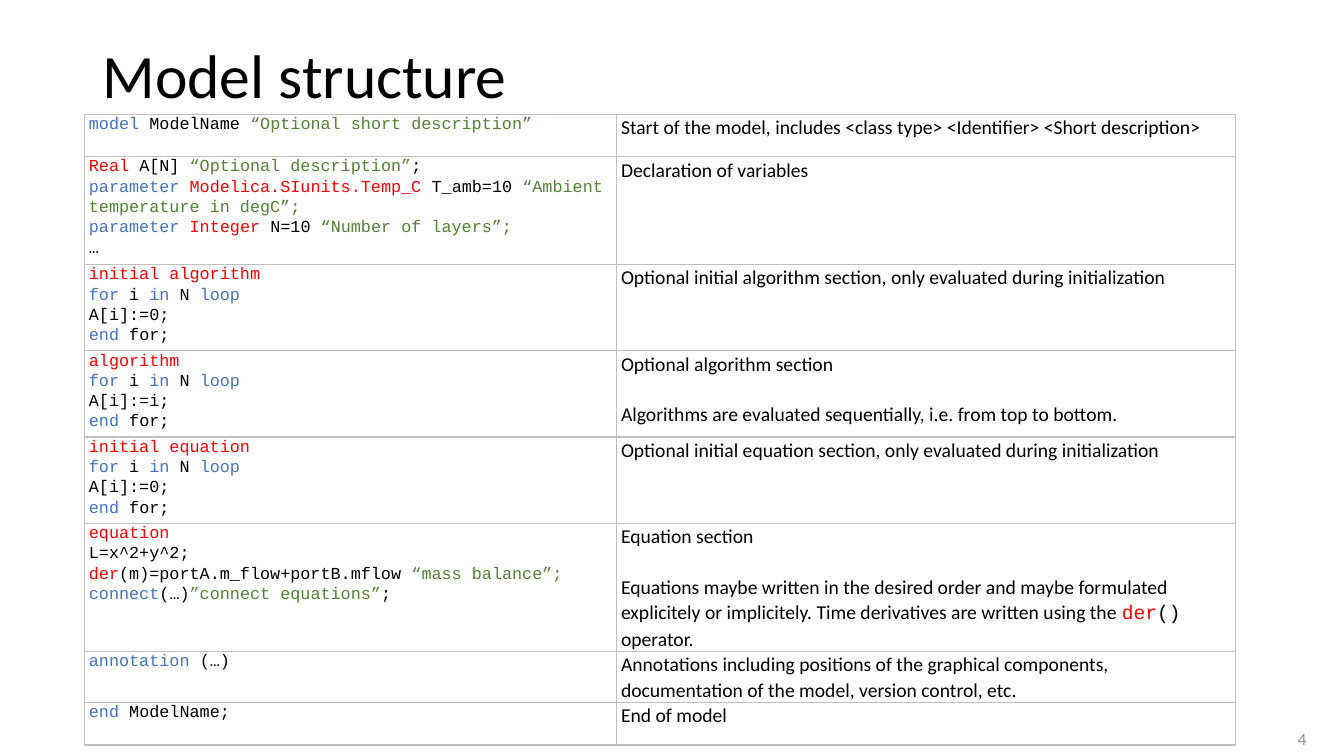
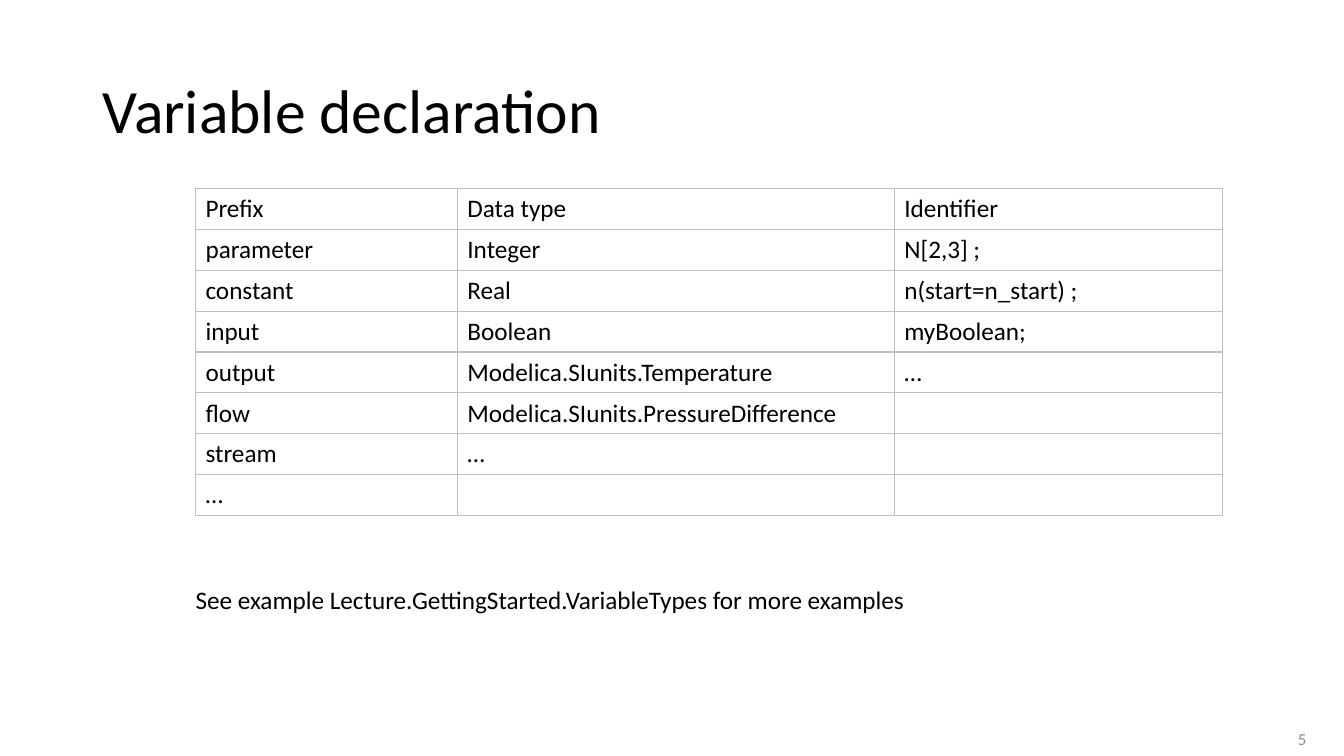
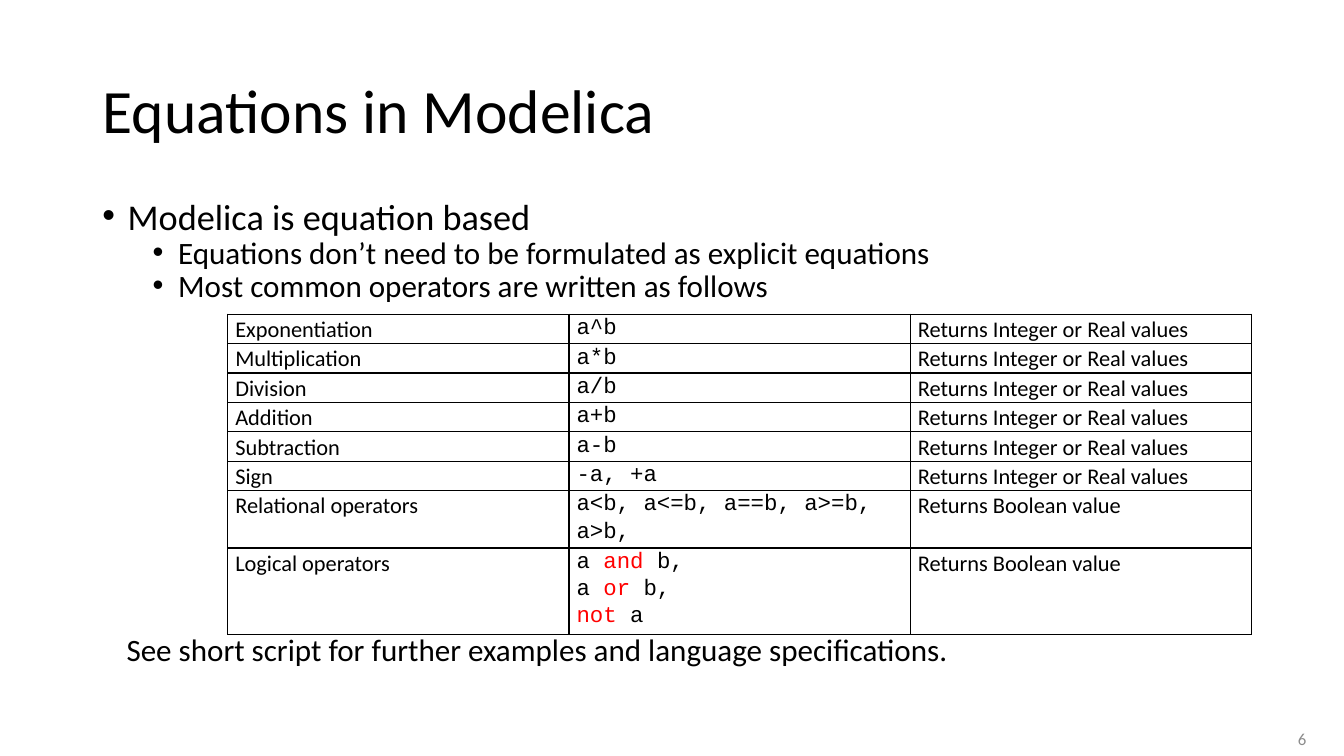
from collections import namedtuple
from dataclasses import dataclass

from lxml.etree import SubElement
from pptx import Presentation
from pptx.dml.color import RGBColor
from pptx.enum.text import MSO_ANCHOR, PP_ALIGN
from pptx.oxml.ns import qn
from pptx.util import Cm, Pt


@dataclass(frozen=True)
class Theme:
    prose_font: str = "Calibri"
    code_font: str = "Courier New"
    black: str = "000000"
    white: str = "FFFFFF"
    grey_rule: str = "BFBFBF"
    page_grey: str = "8C8C8C"
    blue: str = "4472C4"
    red: str = "FF0000"
    green: str = "538135"
    title_size: float = 44
    bullet_size: float = 25.9
    sub_bullet_size: float = 22.2
    note_size: float = 18
    operator_size: float = 16
    description_size: float = 14
    code_size: float = 12
    page_size: float = 12


THEME = Theme()
Run = namedtuple("Run", "text font color")
Column = namedtuple("Column", "width size paragraph_gap", defaults=(0,))


def prose(text, color=THEME.black):
    return Run(text, THEME.prose_font, color)


def code(text, color=THEME.black):
    return Run(text, THEME.code_font, color)


def keyword(text):
    return code(text, THEME.blue)


def special(text):
    return code(text, THEME.red)


def doc(text):
    return code(text, THEME.green)


def apply_format(target, values):
    for name, value in values.items():
        setattr(target, name, value)


def write_paragraph(paragraph, runs, size, **layout):
    apply_format(paragraph, layout)
    for content in runs:
        run = paragraph.add_run()
        run.text = content.text
        apply_format(run.font, {"name": content.font, "size": Pt(size)})
        run.font.color.rgb = RGBColor.from_string(content.color)


def add_titled_slide(deck, title, page, anchor=MSO_ANCHOR.MIDDLE):
    slide = deck.slides.add_slide(deck.slide_layouts[5])
    heading = slide.shapes.title
    apply_format(heading, {"left": Cm(2.33), "top": Cm(1.01),
                           "width": Cm(29.21), "height": Cm(3.68)})
    heading.text_frame.vertical_anchor = anchor
    write_paragraph(heading.text_frame.paragraphs[0], [prose(title)], THEME.title_size,
                    alignment=PP_ALIGN.LEFT, line_spacing=0.9)
    number = add_text_frame(slide, 31.37, 18.16, 1.8, 0.89,
                            vertical_anchor=MSO_ANCHOR.MIDDLE)
    write_paragraph(number.paragraphs[0], [prose(str(page), THEME.page_grey)],
                    THEME.page_size, alignment=PP_ALIGN.RIGHT)
    return slide


def add_text_frame(slide, left, top, width, height, **layout):
    frame = slide.shapes.add_textbox(Cm(left), Cm(top), Cm(width), Cm(height)).text_frame
    apply_format(frame, {"word_wrap": True, **layout})
    return frame


def add_bullets(frame, bullets):
    for index, (level, text) in enumerate(bullets):
        paragraph = frame.add_paragraph() if index else frame.paragraphs[0]
        size = THEME.sub_bullet_size if level else THEME.bullet_size
        write_paragraph(paragraph, [prose(text)], size, level=level, line_spacing=0.7,
                        space_before=Pt(5 if level else 10))
        properties = paragraph._p.get_or_add_pPr()
        properties.set("marL", str(Cm(0.64 + 1.27 * level)))
        properties.set("indent", str(-Cm(0.64)))
        SubElement(properties, qn("a:buFont"), typeface="Arial")
        SubElement(properties, qn("a:buChar"), char="•")


def set_borders(cell, color):
    properties = cell._tc.get_or_add_tcPr()
    for side in ("lnL", "lnR", "lnT", "lnB"):
        line = SubElement(properties, qn(f"a:{side}"), w=str(Pt(1)))
        SubElement(SubElement(line, qn("a:solidFill")), qn("a:srgbClr"), val=color)


def write_cell(cell, content, column, line_spacing):
    paragraphs = [[prose(content)]] if isinstance(content, str) else content
    for index, runs in enumerate(paragraphs):
        paragraph = cell.text_frame.add_paragraph() if index else cell.text_frame.paragraphs[0]
        write_paragraph(paragraph, runs, column.size, line_spacing=line_spacing,
                        space_before=Pt(column.paragraph_gap if index else 0))


def add_grid(slide, left, top, columns, heights, rows, border,
             side_margin=0.25, end_margin=0.13, line_spacing=1.0, fill=None):
    table = slide.shapes.add_table(
        len(rows), len(columns), Cm(left), Cm(top),
        Cm(sum(column.width for column in columns)), Cm(sum(heights))).table
    apply_format(table, {"first_row": False, "horz_banding": False})
    margins = {"margin_left": Cm(side_margin), "margin_right": Cm(side_margin),
               "margin_top": Cm(end_margin), "margin_bottom": Cm(end_margin)}
    for index, column in enumerate(columns):
        table.columns[index].width = Cm(column.width)
    for row_index, (height, contents) in enumerate(zip(heights, rows)):
        table.rows[row_index].height = Cm(height)
        for column_index, (column, content) in enumerate(zip(columns, contents)):
            cell = table.cell(row_index, column_index)
            apply_format(cell, margins)
            set_borders(cell, border)
            if fill:
                cell.fill.solid()
                cell.fill.fore_color.rgb = RGBColor.from_string(fill)
            else:
                cell.fill.background()
            if content:
                write_cell(cell, content, column, line_spacing)


def loop_section(heading, value):
    return [
        [special(heading)],
        [keyword("for "), code("i "), keyword("in "), code("N "), keyword("loop")],
        [code(f"A[i]:={value};")],
        [keyword("end "), code("for;")],
    ]


def build_model_structure(deck):
    slide = add_titled_slide(deck, "Model structure", 4, MSO_ANCHOR.TOP)
    declarations = [
        [special("Real "), code("A[N] "), doc("“Optional description”"), code(";")],
        [keyword("parameter "), special("Modelica.SIunits.Temp_C "), code("T_amb=10 "),
         doc("“Ambient temperature in degC”;")],
        [keyword("parameter "), special("Integer "), code("N=10 "),
         doc("“Number of layers”;")],
        [code("…")],
    ]
    equations = [
        [special("equation")],
        [code("L=x^2+y^2;")],
        [special("der"), code("(m)=portA.m_flow+portB.mflow "), doc("“mass balance”;")],
        [keyword("connect"), code("(…)"), doc("”connect equations”"), code(";")],
    ]
    algorithm_notes = [
        [prose("Optional algorithm section")],
        [prose("Algorithms are evaluated sequentially, i.e. from top to bottom.")],
    ]
    equation_notes = [
        [prose("Equation section")],
        [prose("Equations maybe written in the desired order and maybe formulated "
               "explicitely or implicitely. Time derivatives are written using the "),
         special("der"), code("()"), prose(" operator.")],
    ]
    rows = [
        ([[keyword("model "), code("ModelName "), doc("“Optional short description”")]],
         "Start of the model, includes <class type> <Identifier> <Short description>"),
        (declarations, "Declaration of variables"),
        (loop_section("initial algorithm", "0"),
         "Optional initial algorithm section, only evaluated during initialization"),
        (loop_section("algorithm", "i"), algorithm_notes),
        (loop_section("initial equation", "0"),
         "Optional initial equation section, only evaluated during initialization"),
        (equations, equation_notes),
        ([[keyword("annotation "), code("(…)")]],
         "Annotations including positions of the graphical components, "
         "documentation of the model, version control, etc."),
        ([[keyword("end "), code("ModelName;")]], "End of model"),
    ]
    add_grid(slide, 2.13, 2.88,
             [Column(13.41, THEME.code_size), Column(15.6, THEME.description_size, 18)],
             [1.07, 2.67, 2.13, 2.13, 2.13, 3.23, 1.29, 1.07], rows,
             THEME.grey_rule, side_margin=0.11, end_margin=0, line_spacing=1.07)


def build_variable_declaration(deck):
    slide = add_titled_slide(deck, "Variable declaration", 5)
    rows = [
        ("Prefix", "Data type", "Identifier"),
        ("parameter", "Integer", "N[2,3] ;"),
        ("constant", "Real", "n(start=n_start) ;"),
        ("input", "Boolean", "myBoolean;"),
        ("output", "Modelica.SIunits.Temperature", "…"),
        ("flow", "Modelica.SIunits.PressureDifference", ""),
        ("stream", "…", ""),
        ("…", "", ""),
    ]
    columns = [Column(width, THEME.note_size) for width in (6.6, 11.01, 8.26)]
    add_grid(slide, 4.93, 4.75, columns, [1.03] * len(rows), rows,
             THEME.grey_rule, fill=THEME.white)
    note = add_text_frame(slide, 4.93, 14.73, 18.08, 0.77, word_wrap=False,
                          margin_left=0, margin_right=0, margin_top=0, margin_bottom=0)
    write_paragraph(
        note.paragraphs[0],
        [prose("See example Lecture.GettingStarted.VariableTypes for more examples")],
        THEME.note_size)


def build_equations(deck):
    slide = add_titled_slide(deck, "Equations in Modelica", 6)
    add_bullets(add_text_frame(slide, 2.33, 5.08, 29.21, 2.7), [
        (0, "Modelica is equation based"),
        (1, "Equations don’t need to be formulated as explicit equations"),
        (1, "Most common operators are written as follows"),
    ])
    arithmetic = [
        ("Exponentiation", "a^b"), ("Multiplication", "a*b"), ("Division", "a/b"),
        ("Addition", "a+b"), ("Subtraction", "a-b"), ("Sign", "-a, +a"),
    ]
    rows = [(name, [[code(usage)]], "Returns Integer or Real values")
            for name, usage in arithmetic]
    logical = [
        [code("a "), special("and "), code("b,")],
        [code("a "), special("or "), code("b,")],
        [special("not "), code("a")],
    ]
    rows += [
        ("Relational operators", [[code("a<b, a<=b, a==b, a>=b, a>b,")]],
         "Returns Boolean value"),
        ("Logical operators", logical, "Returns Boolean value"),
    ]
    add_grid(slide, 5.74, 7.92, [Column(8.6, THEME.operator_size)] * 3,
             [0.74] * len(arithmetic) + [1.37, 2.06], rows,
             THEME.black, side_margin=0.19, end_margin=0, line_spacing=1.07)
    closing = add_text_frame(slide, 2.94, 15.77, 28.6, 1.2)
    write_paragraph(
        closing.paragraphs[0],
        [prose("See short script for further examples and language specifications.")],
        THEME.sub_bullet_size)


def main():
    deck = Presentation()
    apply_format(deck, {"slide_width": Cm(33.87), "slide_height": Cm(19.05)})
    build_model_structure(deck)
    build_variable_declaration(deck)
    build_equations(deck)
    deck.save("out.pptx")


if __name__ == "__main__":
    main()
